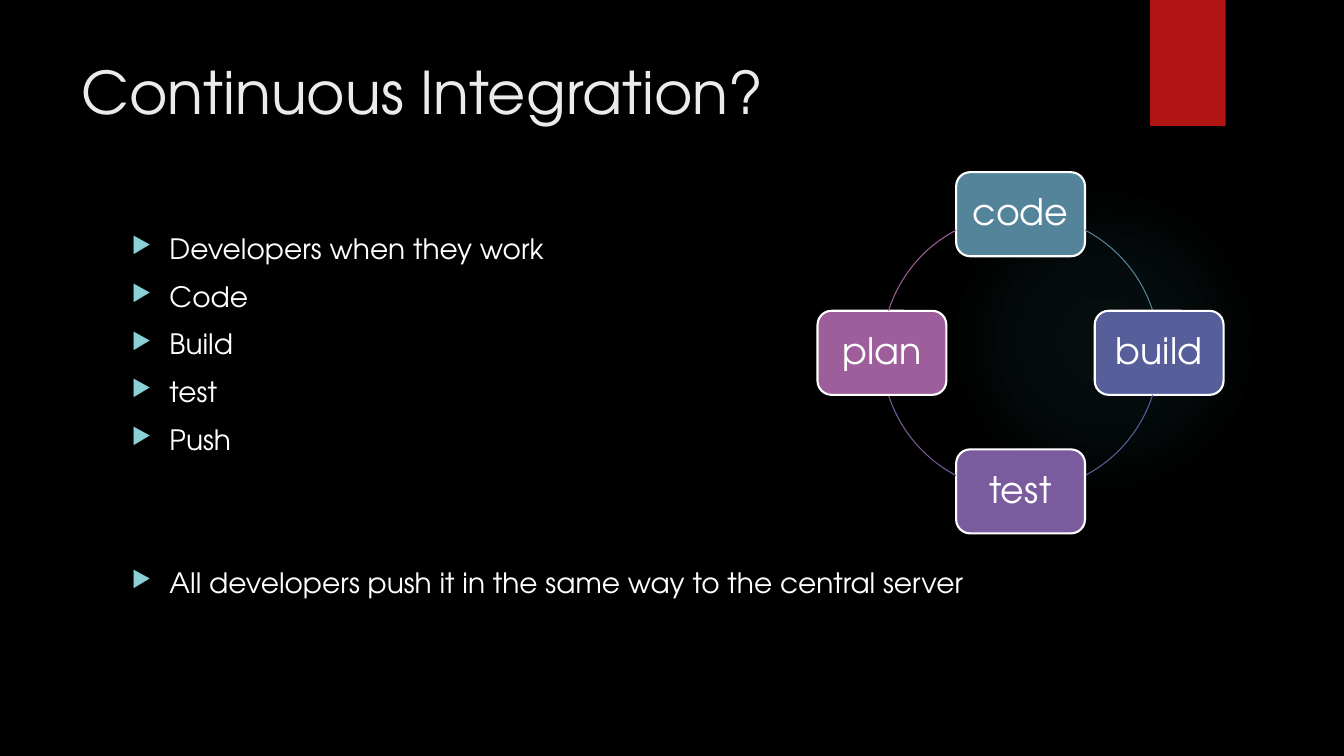
from dataclasses import dataclass
from math import acos, asin, degrees

from lxml import etree
from pptx import Presentation
from pptx.dml.color import RGBColor
from pptx.enum.shapes import MSO_SHAPE
from pptx.enum.text import MSO_ANCHOR, MSO_AUTO_SIZE, PP_ALIGN
from pptx.oxml.ns import qn
from pptx.util import Pt

RECT, ROUNDED = MSO_SHAPE.RECTANGLE, MSO_SHAPE.ROUNDED_RECTANGLE
OVAL, ARC = MSO_SHAPE.OVAL, MSO_SHAPE.ARC
TOP, MIDDLE = MSO_ANCHOR.TOP, MSO_ANCHOR.MIDDLE
LEFT, CENTER = PP_ALIGN.LEFT, PP_ALIGN.CENTER
NO_AUTOFIT = MSO_AUTO_SIZE.NONE


@dataclass(frozen=True)
class Theme:
    font: str = "TeX Gyre Adventor"
    background: str = "000000"
    title: str = "EBEBEB"
    text: str = "FFFFFF"
    bullet: str = "8AD0D6"
    ribbon: str = "B01513"
    glow: str = "50B9C1"
    title_size: int = 42
    body_size: int = 20
    node_size: int = 26


THEME = Theme()

POINTS = ["Developers when they work", "Code", "Build", "test", "Push"]
CONCLUSION = "All developers push it in the same way to the central server"

# Label, colour and direction from the centre of the cycle
STEPS = [
    ("code", "54849A", 0, -1),
    ("build", "575F9B", 1, 0),
    ("test", "7A5B9D", 0, 1),
    ("plan", "9E5E9B", -1, 0),
]
CYCLE_X, CYCLE_Y, RADIUS = 729, 252, 99
NODE_W, NODE_H = 92, 60


def rgb(colour):
    return RGBColor.from_string(colour)


def add_element(parent, tag, **attributes):
    element = etree.SubElement(parent, qn(tag))
    for name, value in attributes.items():
        element.set(name, str(value))
    return element


def set_frame(frame, anchor=TOP, margin_x=7.2, margin_y=3.6):
    frame.word_wrap = True
    frame.auto_size = NO_AUTOFIT
    frame.vertical_anchor = anchor
    frame.margin_left = frame.margin_right = Pt(margin_x)
    frame.margin_top = frame.margin_bottom = Pt(margin_y)


def write(para, text, size, colour=THEME.text, align=LEFT, before=0, spacing=1.0):
    para.alignment = align
    para.space_before = Pt(before)
    para.line_spacing = spacing
    span = para.add_run()
    span.text = text
    span.font.name = THEME.font
    span.font.size = Pt(size)
    span.font.color.rgb = rgb(colour)


def add_bullet(para, indent=27):
    properties = para._p.get_or_add_pPr()
    properties.set("marL", str(Pt(indent)))
    properties.set("indent", str(Pt(-indent)))
    colour = add_element(properties, "a:buClr")
    add_element(colour, "a:srgbClr", val=THEME.bullet)
    add_element(properties, "a:buSzPct", val=80000)
    add_element(properties, "a:buChar", char="▶")


def add_box(page, kind, left, top, width, height, fill=None, line=None, weight=1.5):
    box = page.shapes.add_shape(kind, Pt(left), Pt(top), Pt(width), Pt(height))
    box.shadow.inherit = False
    if fill:
        box.fill.solid()
        box.fill.fore_color.rgb = rgb(fill)
    else:
        box.fill.background()
    if line:
        box.line.color.rgb = rgb(line)
        box.line.width = Pt(weight)
    else:
        box.line.fill.background()
    return box


def add_glow(page):
    glow = add_box(page, OVAL, 677.5, 132, 222, 222)
    old_fill = glow._element.spPr.find(qn("a:noFill"))
    gradient = etree.Element(qn("a:gradFill"))
    stops = add_element(gradient, "a:gsLst")
    for position, alpha in [(0, 7), (36, 6), (69, 0)]:
        stop = add_element(stops, "a:gs", pos=position * 1000)
        colour = add_element(stop, "a:srgbClr", val=THEME.glow)
        add_element(colour, "a:alpha", val=alpha * 1000)
    shade = add_element(gradient, "a:path", path="circle")
    add_element(shade, "a:fillToRect", l=50000, t=50000, r=50000, b=50000)
    old_fill.getparent().replace(old_fill, gradient)


def add_title(page, text):
    title = page.shapes.title
    title.left, title.top, title.width, title.height = Pt(51), Pt(36), Pt(741), Pt(110)
    set_frame(title.text_frame)
    write(title.text_frame.paragraphs[0], text, THEME.title_size, colour=THEME.title)


def add_bullets(page):
    box = page.shapes.add_textbox(Pt(87), Pt(162), Pt(704), Pt(330))
    frame = box.text_frame
    set_frame(frame)
    for index, text in enumerate(POINTS + [CONCLUSION]):
        para = frame.add_paragraph() if index else frame.paragraphs[0]
        # The conclusion stands two lines apart from the list
        write(para, text, THEME.body_size, before=78 if text == CONCLUSION else 10)
        add_bullet(para)


def add_arc(page, start, end, colour):
    arc = add_box(page, ARC, CYCLE_X - RADIUS, CYCLE_Y - RADIUS,
                  2 * RADIUS, 2 * RADIUS, line=colour, weight=0.75)
    # Angles are stored in 60000ths of a degree, adjustments in 100000ths
    for index, angle in enumerate((start, end)):
        arc.adjustments[index] = angle % 360 * 0.6


def add_node(page, label, colour, across, down):
    node = add_box(page, ROUNDED,
                   CYCLE_X + across * RADIUS - NODE_W / 2,
                   CYCLE_Y + down * RADIUS - NODE_H / 2,
                   NODE_W, NODE_H, fill=colour, line=THEME.text)
    set_frame(node.text_frame, anchor=MIDDLE, margin_x=8, margin_y=8)
    write(node.text_frame.paragraphs[0], label, THEME.node_size,
          align=CENTER, spacing=0.9)


def add_cycle(page):
    # Angles where the circle leaves the side nodes and meets the upper and lower ones
    side = degrees(asin(NODE_H / 2 / RADIUS))
    pole = degrees(acos(NODE_W / 2 / RADIUS))
    arcs = [(-pole, -side), (side, pole),
            (180 - pole, 180 - side), (180 + side, 180 + pole)]
    for (label, colour, across, down), (start, end) in zip(STEPS, arcs):
        add_node(page, label, colour, across, down)
        add_arc(page, start, end, colour)


def main():
    deck = Presentation()
    deck.slide_width, deck.slide_height = Pt(960), Pt(540)
    page = deck.slides.add_slide(deck.slide_layouts[5])
    page.background.fill.solid()
    page.background.fill.fore_color.rgb = rgb(THEME.background)

    # Decoration
    add_glow(page)
    add_box(page, RECT, 821.5, 0, 54, 90, fill=THEME.ribbon)

    # Content
    add_title(page, "Continuous Integration?")
    add_bullets(page)
    add_cycle(page)
    deck.save("out.pptx")


if __name__ == "__main__":
    main()
